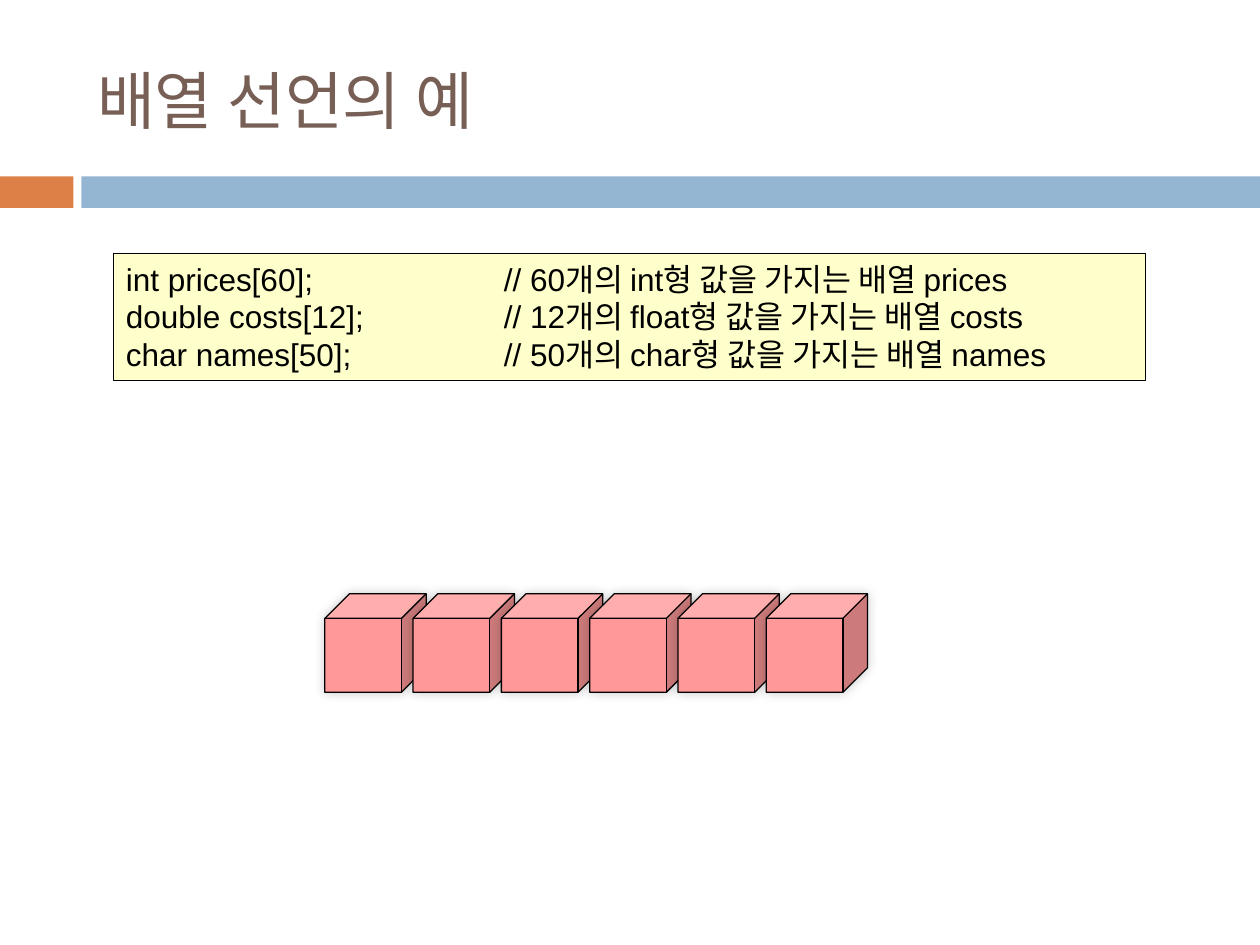
from lxml import etree
from pptx import Presentation
from pptx.dml.color import RGBColor
from pptx.enum import shapes, text
from pptx.oxml.ns import qn
from pptx.util import Pt

TITLE = "배열 선언의 예"
DECLARATIONS = [
    ("int prices[60];", "// 60개의 int형 값을 가지는 배열 prices"),
    ("double costs[12];", "// 12개의 float형 값을 가지는 배열 costs"),
    ("char names[50];", "// 50개의 char형 값을 가지는 배열 names"),
]
COLORS = {
    "title": "775F55", "accent": "DD8047", "band": "94B6D2",
    "cube": "FF9999", "code": "FFFFCC", "black": "000000",
}
CUBE_COUNT = 6
CUBE_LEFT, CUBE_TOP, CUBE_WIDTH, CUBE_HEIGHT = 185.6, 339.3, 57.9, 56.3
CUBE_STEP = 50.45


def color(name):
    return RGBColor.from_string(COLORS[name])


def add_box(slide, kind, box, fill, outlined=False):
    shape = slide.shapes.add_shape(kind, *map(Pt, box))
    shape.shadow.inherit = False
    shape.fill.solid()
    shape.fill.fore_color.rgb = color(fill)
    if outlined:
        shape.line.color.rgb = color("black")
        shape.line.width = Pt(0.75)
    else:
        shape.line.fill.background()
    return shape


def add_soft_shadow(shape):
    effects = shape._element.spPr.find(qn("a:effectLst"))
    shadow = etree.SubElement(effects, qn("a:outerShdw"), blurRad=str(Pt(6)),
                              dist="0", dir=str(315 * 60000))
    shade = etree.SubElement(shadow, qn("a:srgbClr"), val=COLORS["black"])
    etree.SubElement(shade, qn("a:alpha"), val="20000")


def format_title(title):
    title.left, title.top, title.width, title.height = map(Pt, (48.24, 18, 642.24, 77.76))
    title.text_frame.text = TITLE
    title.text_frame.vertical_anchor = text.MSO_ANCHOR.MIDDLE
    paragraph = title.text_frame.paragraphs[0]
    paragraph.alignment = text.PP_ALIGN.LEFT
    paragraph.font.name = "Cabin"
    paragraph.font.size = Pt(36)
    paragraph.font.color.rgb = color("title")


def add_code(slide):
    shape = add_box(slide, shapes.MSO_SHAPE.RECTANGLE, (64.8, 144.8, 589.7, 72.6), "code", True)
    frame = shape.text_frame
    frame.word_wrap = True
    frame.vertical_anchor = text.MSO_ANCHOR.TOP
    frame.text = "\n".join("\t\t".join(row) for row in DECLARATIONS)
    for paragraph in frame.paragraphs:
        paragraph.alignment = text.PP_ALIGN.LEFT
        paragraph.font.name = "Arial"
        paragraph.font.size = Pt(18)
        paragraph.font.color.rgb = color("black")
        paragraph._p.get_or_add_pPr().set("defTabSz", str(Pt(72)))


def main():
    presentation = Presentation()
    presentation.slide_width, presentation.slide_height = Pt(720), Pt(540)
    slide = presentation.slides.add_slide(presentation.slide_layouts[5])
    add_box(slide, shapes.MSO_SHAPE.RECTANGLE, (0, 100.8, 42, 18), "accent")
    add_box(slide, shapes.MSO_SHAPE.RECTANGLE, (46.5, 100.8, 673.5, 18), "band")
    format_title(slide.shapes.title)
    for index in range(CUBE_COUNT):
        left = CUBE_LEFT + index * CUBE_STEP
        cube = add_box(slide, shapes.MSO_SHAPE.CUBE,
                       (left, CUBE_TOP, CUBE_WIDTH, CUBE_HEIGHT), "cube", True)
        add_soft_shadow(cube)
    add_code(slide)
    presentation.save("out.pptx")


if __name__ == "__main__":
    main()
